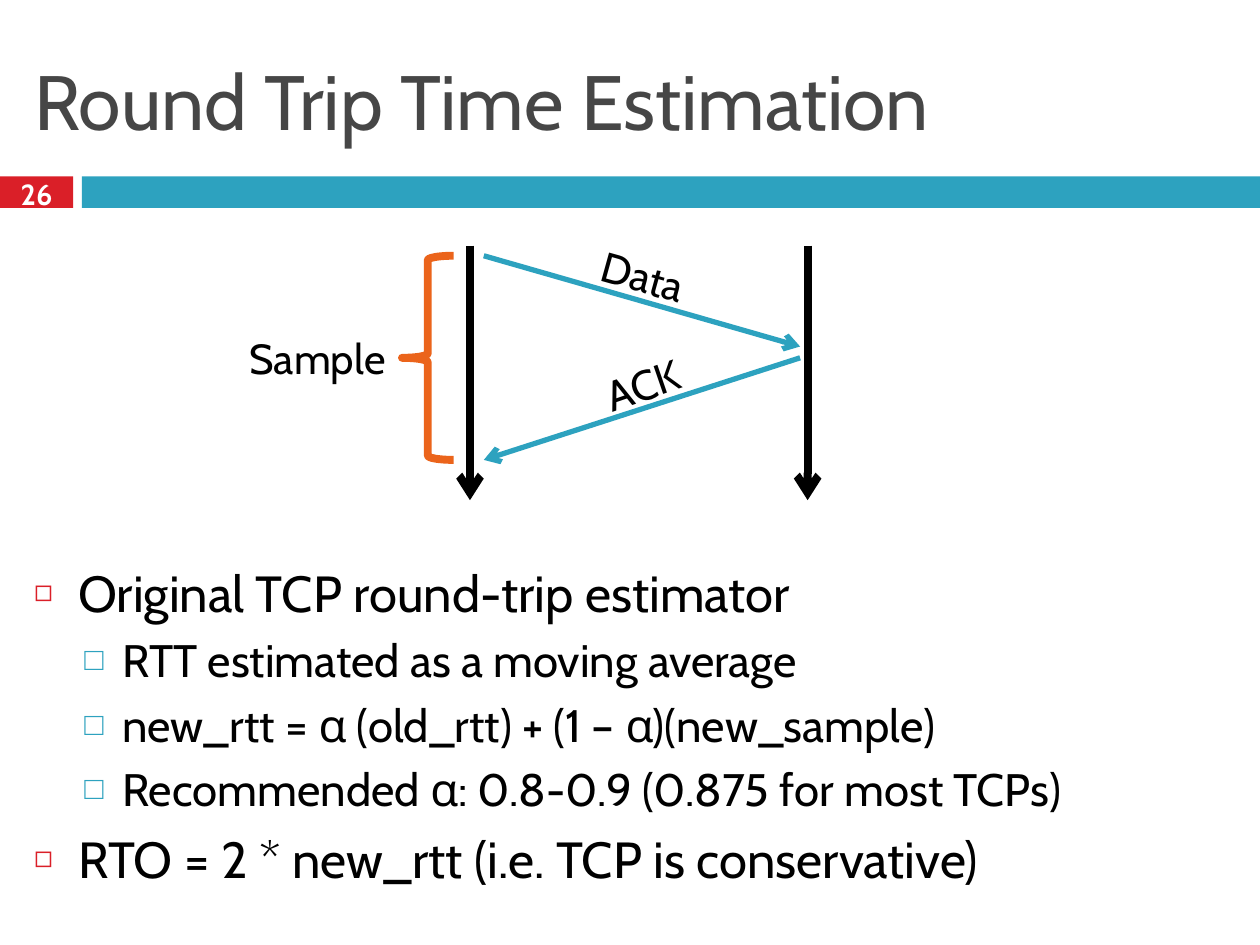
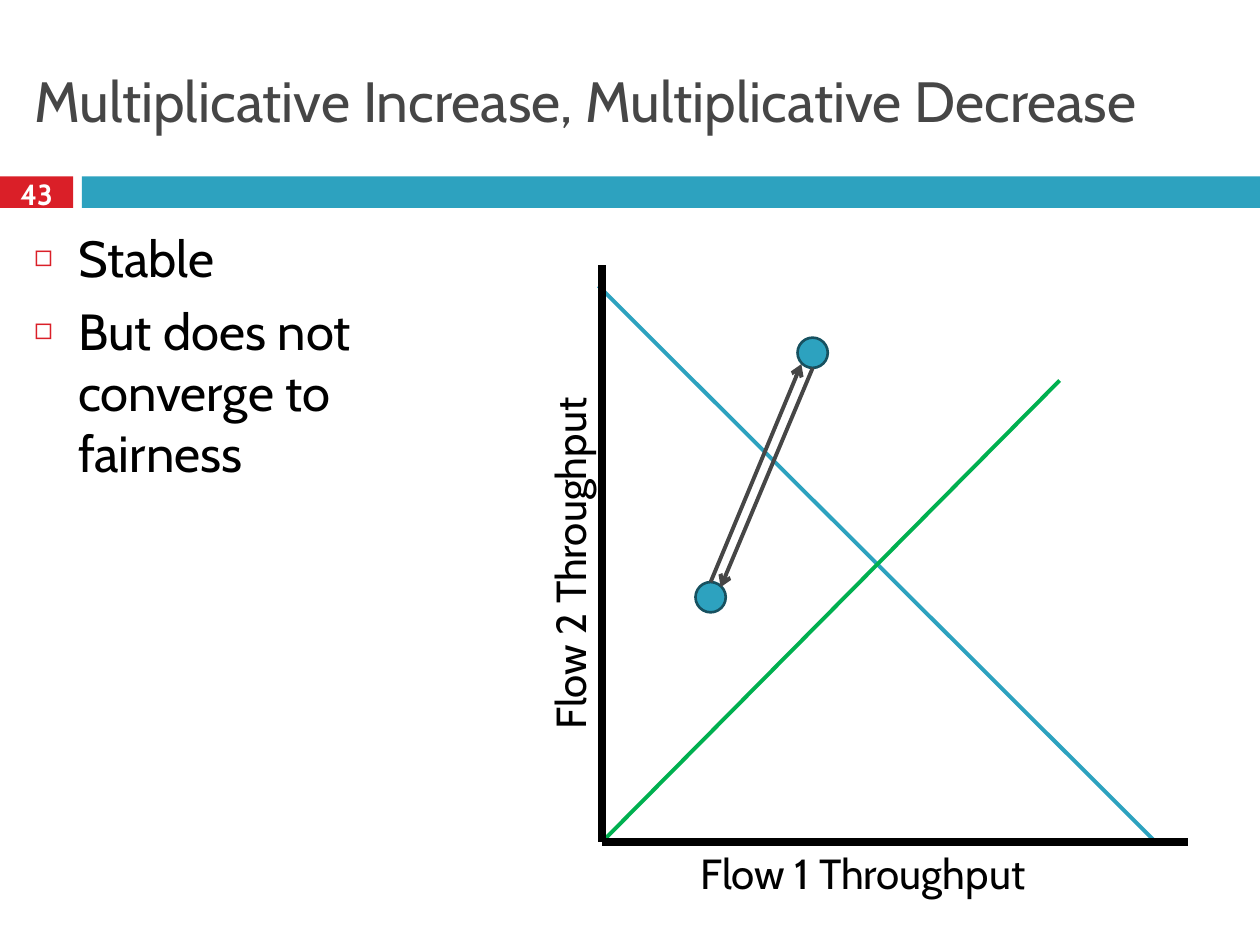
"""Build two lecture slides on TCP round trip estimation and flow fairness."""

from dataclasses import dataclass
from typing import Any, NamedTuple

from lxml.etree import SubElement
from pptx import Presentation
from pptx.dml.color import RGBColor
from pptx.enum.shapes import MSO_CONNECTOR, MSO_SHAPE
from pptx.enum.text import MSO_ANCHOR, MSO_AUTO_SIZE, PP_ALIGN
from pptx.oxml.ns import qn
from pptx.shapes.autoshape import Shape
from pptx.slide import Slide
from pptx.text.text import TextFrame, _Paragraph
from pptx.util import Inches, Pt


@dataclass(frozen=True)
class Theme:
    font: str = "Cabin"
    ink: str = "000000"
    paper: str = "FFFFFF"
    gray: str = "464646"
    red: str = "DA1F28"
    teal: str = "2DA2BF"
    dark_teal: str = "175160"
    orange: str = "EB641B"
    green: str = "00B050"
    title_size: float = 44
    long_title_size: float = 32.4
    number_size: float = 16.6
    label_size: float = 24
    heavy: float = 4.5
    medium: float = 3
    thin: float = 2.25
    outline: float = 1.5


THEME = Theme()


class Box(NamedTuple):
    left: float
    top: float
    width: float
    height: float


class Point(NamedTuple):
    x: float
    y: float


class BulletLevel(NamedTuple):
    size: float
    margin: float
    hang: float
    before: float
    symbol: str
    color: str
    percent: int


class Bullet(NamedTuple):
    text: str
    level: int = 0


class Line(NamedTuple):
    start: Point
    end: Point
    color: str
    weight: float
    arrow: bool = False


class Label(NamedTuple):
    text: str
    box: Box
    rotation: float = 0
    align: PP_ALIGN = PP_ALIGN.CENTER
    wrap: bool = True


BULLET_LEVELS = (
    BulletLevel(29, 0.35, 0.35, 7, "◻", THEME.red, 60),
    BulletLevel(26, 0.7, 0.3, 5.5, "□", THEME.teal, 70),
)
TITLE_BOX = Box(0.17, 0.25, 9.67, 1.08)
NUMBER_BOX = Box(0, 1.37, 0.58, 0.33)
BANDS = (
    (Box(0, 1.4, 0.58, 0.25), THEME.red),
    (Box(0.65, 1.4, 9.35, 0.25), THEME.teal),
)


def apply_format(target: Any, values: dict[str, Any]) -> None:
    """Set every named attribute on the target."""
    for name, value in values.items():
        setattr(target, name, value)


def place(shape: Any, box: Box) -> None:
    """Move and size a shape in inches."""
    apply_format(shape, {side: Inches(length) for side, length in box._asdict().items()})


def write(paragraph: _Paragraph, text: str, size: float, color: str, bold: bool = False) -> None:
    """Write one run in the theme font."""
    run = paragraph.add_run()
    run.text = text
    apply_format(run.font, {"name": THEME.font, "size": Pt(size), "bold": bold})
    run.font.color.rgb = RGBColor.from_string(color)


def format_frame(frame: TextFrame, anchor: MSO_ANCHOR, wrap: bool = True) -> None:
    """Fix wrapping and anchoring of a text frame."""
    apply_format(frame, {
        "auto_size": MSO_AUTO_SIZE.NONE, "word_wrap": wrap, "vertical_anchor": anchor,
    })


def add_preset(slide: Slide, kind: MSO_SHAPE, box: Box, fill: str | None = None,
               outline: str | None = None, weight: float = 0) -> Shape:
    """Draw a flat preset shape."""
    shape = slide.shapes.add_shape(kind, *map(Inches, box))
    shape.shadow.inherit = False
    if fill:
        shape.fill.solid()
        shape.fill.fore_color.rgb = RGBColor.from_string(fill)
    else:
        shape.fill.background()
    if outline:
        shape.line.color.rgb = RGBColor.from_string(outline)
        shape.line.width = Pt(weight)
    else:
        shape.line.fill.background()
    return shape


def add_line(slide: Slide, line: Line) -> None:
    """Draw a straight line, with an arrowhead at its end if asked."""
    connector = slide.shapes.add_connector(
        MSO_CONNECTOR.STRAIGHT, *map(Inches, (*line.start, *line.end)))
    connector.line.color.rgb = RGBColor.from_string(line.color)
    connector.line.width = Pt(line.weight)
    properties = connector.element.spPr
    if line.arrow:
        SubElement(properties.find(qn("a:ln")), qn("a:tailEnd"), type="arrow")
    SubElement(properties, qn("a:effectLst"))


def add_label(slide: Slide, label: Label) -> None:
    """Draw a diagram label."""
    textbox = slide.shapes.add_textbox(*map(Inches, label.box))
    textbox.rotation = label.rotation
    format_frame(textbox.text_frame, MSO_ANCHOR.TOP, label.wrap)
    paragraph = textbox.text_frame.paragraphs[0]
    paragraph.alignment = label.align
    write(paragraph, label.text, THEME.label_size, THEME.ink)


def add_number(slide: Slide, number: int) -> None:
    """Write the slide number on the red band."""
    textbox = slide.shapes.add_textbox(*map(Inches, NUMBER_BOX))
    frame = textbox.text_frame
    format_frame(frame, MSO_ANCHOR.MIDDLE)
    apply_format(frame, {f"margin_{side}": 0 for side in ("left", "right", "top", "bottom")})
    frame.paragraphs[0].alignment = PP_ALIGN.CENTER
    write(frame.paragraphs[0], str(number), THEME.number_size, THEME.paper, bold=True)


def fill_bullets(frame: TextFrame, bullets: tuple[Bullet, ...]) -> None:
    """Write a list with square bullets."""
    format_frame(frame, MSO_ANCHOR.TOP)
    for index, bullet in enumerate(bullets):
        style = BULLET_LEVELS[bullet.level]
        paragraph = frame.add_paragraph() if index else frame.paragraphs[0]
        apply_format(paragraph, {"level": bullet.level, "space_before": Pt(style.before)})
        write(paragraph, bullet.text, style.size, THEME.ink)
        properties = paragraph._p.get_or_add_pPr()
        properties.set("marL", str(Inches(style.margin)))
        properties.set("indent", str(-Inches(style.hang)))
        SubElement(SubElement(properties, qn("a:buClr")), qn("a:srgbClr"), val=style.color)
        SubElement(properties, qn("a:buSzPct"), val=str(style.percent * 1000))
        SubElement(properties, qn("a:buChar"), char=style.symbol)


def add_lecture_slide(deck: Any, title: str, title_size: float, number: int,
                      body_box: Box, bullets: tuple[Bullet, ...]) -> Slide:
    """Add a slide with bands, title, number and list."""
    slide = deck.slides.add_slide(deck.slide_layouts[1])
    for box, color in BANDS:
        add_preset(slide, MSO_SHAPE.RECTANGLE, box, color)
    heading, body = slide.placeholders
    place(heading, TITLE_BOX)
    format_frame(heading.text_frame, MSO_ANCHOR.MIDDLE)
    heading.text_frame.paragraphs[0].alignment = PP_ALIGN.LEFT
    write(heading.text_frame.paragraphs[0], title, title_size, THEME.gray)
    add_number(slide, number)
    place(body, body_box)
    fill_bullets(body.text_frame, bullets)
    return slide


def build_round_trip(deck: Any) -> None:
    """Show one data and acknowledgement exchange between two hosts."""
    slide = add_lecture_slide(
        deck, "Round Trip Time Estimation", THEME.title_size, 26, Box(0.17, 4.41, 9.67, 2.93), (
            Bullet("Original TCP round-trip estimator"),
            Bullet("RTT estimated as a moving average", 1),
            Bullet("new_rtt = α (old_rtt) + (1 – α)(new_sample)", 1),
            Bullet("Recommended α: 0.8-0.9 (0.875 for most TCPs)", 1),
            Bullet("RTO = 2 * new_rtt (i.e. TCP is conservative)"),
        ))
    for host_x in (3.73, 6.41):
        add_line(slide, Line(Point(host_x, 1.95), Point(host_x, 3.97),
                             THEME.ink, THEME.heavy, True))
    sender_x, receiver_x, sent_y, acked_y = 3.84, 6.35, 2.03, 3.65
    for start, end in (
        (Point(sender_x, sent_y), Point(receiver_x, 2.75)),
        (Point(receiver_x, 2.84), Point(sender_x, acked_y)),
    ):
        add_line(slide, Line(start, end, THEME.teal, THEME.medium, True))
    add_preset(slide, MSO_SHAPE.LEFT_BRACE, Box(3.19, sent_y, 0.41, acked_y - sent_y),
               outline=THEME.orange, weight=THEME.heavy)
    for label in (
        Label("Data", Box(4.01, 1.94, 2.19, 0.5), 15.6),
        Label("ACK", Box(4.52, 2.8, 1.16, 0.5), 341),
        Label("Sample", Box(1.78, 2.59, 1.48, 0.5)),
    ):
        add_label(slide, label)


def build_fairness(deck: Any) -> None:
    """Plot the throughput of two flows that never reach fairness."""
    slide = add_lecture_slide(
        deck, "Multiplicative Increase, Multiplicative Decrease", THEME.long_title_size, 43,
        Box(0.17, 1.75, 3.34, 5.58),
        (Bullet("Stable"), Bullet("But does not converge to fairness")))
    for label in (
        Label("Flow 1 Throughput", Box(5.46, 6.68, 3, 0.5), 0, PP_ALIGN.LEFT, False),
        Label("Flow 2 Throughput", Box(3.02, 4.14, 3, 0.5), 270, PP_ALIGN.LEFT, False),
    ):
        add_label(slide, label)
    origin = Point(4.78, 6.68)
    for line in (
        Line(Point(4.75, 2.27), Point(9.17, origin.y), THEME.teal, THEME.thin),
        Line(origin, Point(8.41, 3.02), THEME.green, THEME.thin),
        Line(origin, Point(9.43, origin.y), THEME.ink, THEME.heavy),
        Line(origin, Point(origin.x, 2.1), THEME.ink, THEME.heavy),
    ):
        add_line(slide, line)
    diameter = 0.24
    high, low = Point(6.33, 2.68), Point(5.52, 4.62)
    for state in (high, low):
        add_preset(slide, MSO_SHAPE.OVAL, Box(*state, diameter, diameter),
                   THEME.teal, THEME.dark_teal, THEME.outline)
    radius = diameter / 2
    for start, end in (
        (Point(high.x + radius, high.y + diameter), Point(5.72, 4.66)),
        (Point(low.x + radius, low.y), Point(6.36, 2.89)),
    ):
        add_line(slide, Line(start, end, THEME.gray, THEME.thin, True))


def main() -> None:
    """Build and save the deck."""
    deck = Presentation()
    apply_format(deck, {"slide_width": Inches(10), "slide_height": Inches(7.5)})
    build_round_trip(deck)
    build_fairness(deck)
    deck.save("out.pptx")


if __name__ == "__main__":
    main()
